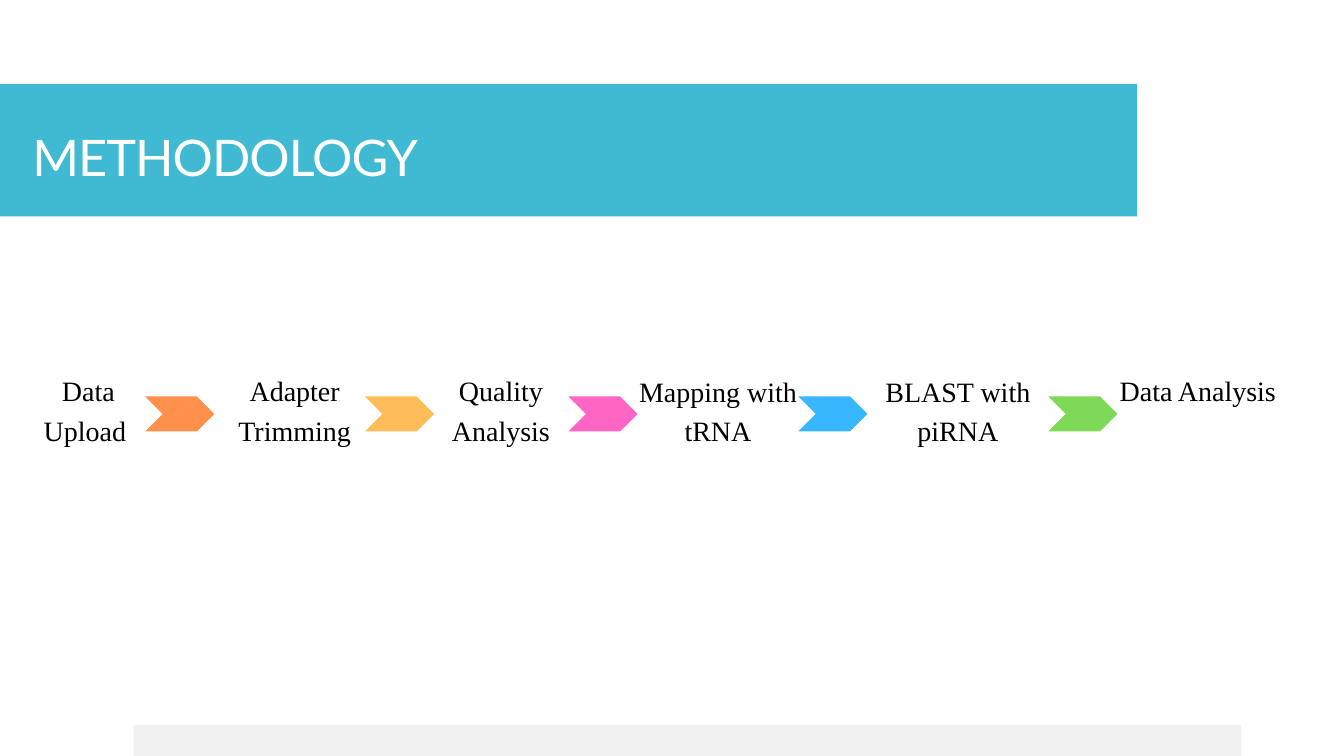
from pptx import Presentation
from pptx.dml.color import RGBColor
from pptx.enum import shapes, text
from pptx.oxml import parse_xml
from pptx.oxml.ns import nsdecls
from pptx.util import Inches, Pt

COLORS = {
    "band": "40BAD2", "strip": "C8C8C8", "title": "FFFFFF", "label": "000000",
    "orange": "FF914D", "yellow": "FFBD59", "pink": "FF66C4",
    "blue": "38B6FF", "green": "7ED957",
}


def add_filled(kind, x, y, w, h, color):
    """Add a preset shape with a plain fill, no outline and no shadow."""
    sp = s.shapes.add_shape(kind, Inches(x), Inches(y), Inches(w), Inches(h))
    sp.fill.solid()
    sp.fill.fore_color.rgb = RGBColor.from_string(COLORS[color])
    sp.line.fill.background()
    sp.shadow.inherit = False
    return sp


def write(sp, words, font, size, color, spacing, align, anchor):
    """Fill a text shape with one paragraph and no inner margins."""
    tf = sp.text_frame
    tf.text = words
    tf.word_wrap = True
    tf.auto_size = text.MSO_AUTO_SIZE.NONE
    tf.vertical_anchor = anchor
    tf.margin_left = tf.margin_right = tf.margin_top = tf.margin_bottom = 0
    p = tf.paragraphs[0]
    p.alignment = align
    p.line_spacing = Pt(spacing)
    p.font.name = font
    p.font.size = Pt(size)
    p.font.color.rgb = RGBColor.from_string(COLORS[color])
    return p


prs = Presentation()
prs.slide_width, prs.slide_height = Inches(20), Inches(11.25)
s = prs.slides.add_slide(prs.slide_layouts[5])

# Title on its band
band = add_filled(shapes.MSO_SHAPE.RECTANGLE, 0, 1.25, 16.92, 1.97, "band")
title = s.shapes.title
title._element.addprevious(band._element)
title.left, title.top = Inches(0.48), Inches(1.56)
title.width, title.height = Inches(6.06), Inches(1.63)
p = write(title, "METHODOLOGY", "Lato", 54, "title", 58.3,
          text.PP_ALIGN.LEFT, text.MSO_ANCHOR.MIDDLE)
p.runs[0].font._element.set("spc", "-100")

# Translucent strip along the bottom edge
strip = add_filled(shapes.MSO_SHAPE.RECTANGLE, 1.99, 10.79, 16.48, 0.92, "strip")
strip_color = strip.fill._xPr.solidFill[0]
strip_color.append(parse_xml(f'<a:alpha {nsdecls("a")} val="25000"/>'))

# Workflow steps: label, left, top, width
steps = [
    ("Data Upload ", 0.32, 5.48, 1.99),
    ("Adapter Trimming", 3.19, 5.48, 2.39),
    ("Quality Analysis", 6.26, 5.48, 2.39),
    ("Mapping with tRNA", 9.49, 5.49, 2.39),
    ("BLAST with piRNA", 13.06, 5.49, 2.39),
    ("Data Analysis", 16.63, 5.48, 2.39),
]
for label, x, y, w in steps:
    box = s.shapes.add_textbox(Inches(x), Inches(y), Inches(w), Inches(1.22))
    write(box, label, "Times New Roman", 30, "label", 42,
          text.PP_ALIGN.CENTER, text.MSO_ANCHOR.TOP)

# Chevrons between the steps
chevrons = [("orange", 2.16), ("yellow", 5.43), ("pink", 8.46),
            ("blue", 11.88), ("green", 15.6)]
for color, x in chevrons:
    add_filled(shapes.MSO_SHAPE.CHEVRON, x, 5.9, 1.03, 0.52, color)

prs.save("out.pptx")
